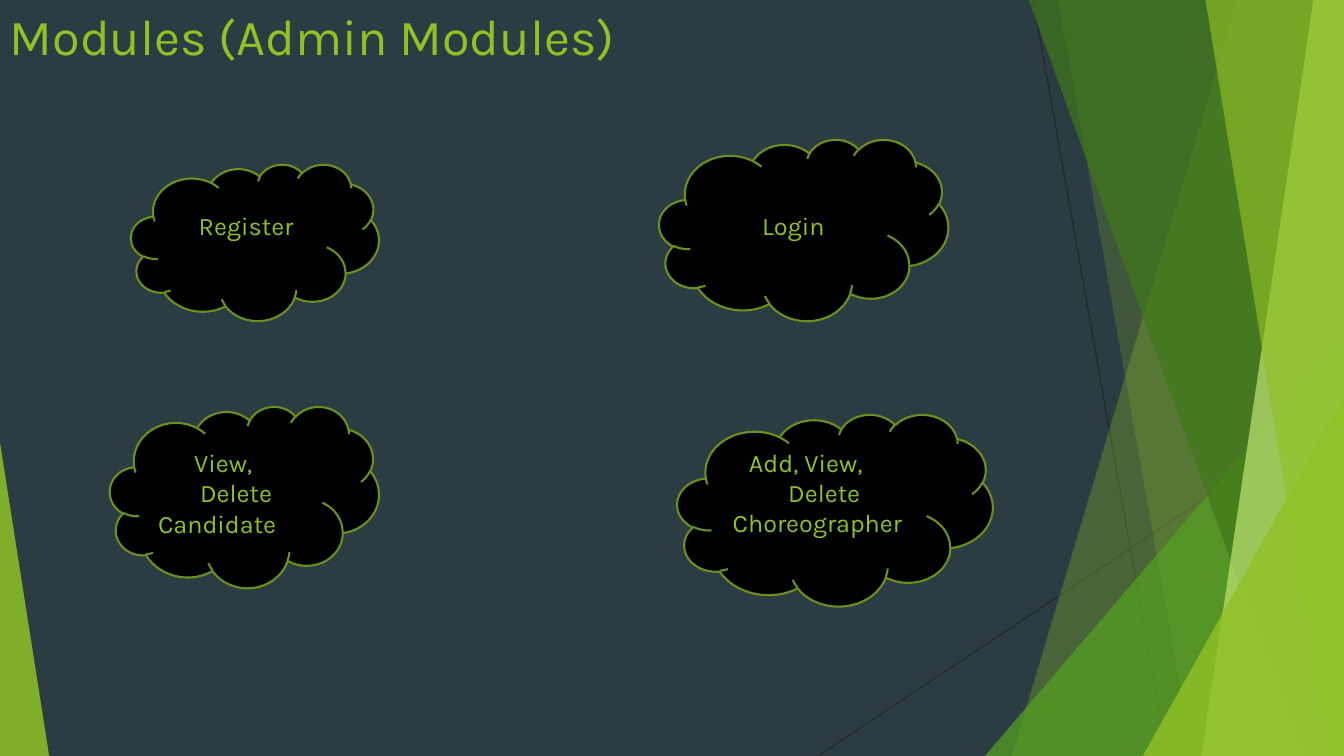
"""Build the admin modules slide: four clouds beside a fan of green facets."""
from lxml import etree
from pptx import Presentation
from pptx.dml.color import RGBColor
from pptx.enum.shapes import MSO_CONNECTOR, MSO_SHAPE
from pptx.enum.text import MSO_ANCHOR, PP_ALIGN
from pptx.oxml.ns import qn
from pptx.util import Cm, Pt

STRAIGHT = MSO_CONNECTOR.STRAIGHT
CLOUD, TRIANGLE = MSO_SHAPE.CLOUD, MSO_SHAPE.ISOSCELES_TRIANGLE
TOP, MIDDLE = MSO_ANCHOR.TOP, MSO_ANCHOR.MIDDLE
LEFT, CENTER = PP_ALIGN.LEFT, PP_ALIGN.CENTER

WIDTH, HEIGHT = 33.87, 19.05
FONT = "Karla"
COLORS = {
    "background": "2C3C43", "hairline": "262626", "lime": "90C226",
    "green": "54A021", "forest": "3F7819", "pale": "C0E474",
    "cloud": "000000", "outline": "6B901C",
}
TITLE = "Modules (Admin Modules)"

# content
HAIRLINES = [((26.04, 0), (29.41, HEIGHT)), ((WIDTH, 10.24), (20.62, HEIGHT))]
FACETS = [
    {"top_x": 31.19, "bottom_x": 25.5, "color": "lime", "opacity": 30},
    {"top_x": 26.67, "bottom_x": 30.05, "color": "lime", "opacity": 20},
    {"box": (24.82, 8.46, 9.05, 10.59), "apex": 1, "color": "green", "opacity": 72},
    {"top_x": 25.93, "bottom_x": 32.79, "color": "forest", "opacity": 70},
    {"top_x": 33.1, "bottom_x": 30.28, "color": "pale", "opacity": 70},
    {"top_x": 30.38, "bottom_x": 33.48, "color": "lime", "opacity": 65},
    {"box": (28.8, 9.98, 5.07, 9.07), "apex": 1, "color": "lime", "opacity": 80},
    {"box": (0, 11.15, 1.24, 7.9), "apex": 0, "color": "lime", "opacity": 85},
]
MODULES = [
    {"box": (16.61, 3.51, 7.29, 4.57), "lift": 0, "lines": [("Login", None)]},
    {"box": (17.07, 10.44, 7.95, 4.83), "lift": 0.66,
     "lines": [("Add, View,", 0.46), ("Delete", 1.45), ("Choreographer", 0.05)]},
    {"box": (2.77, 10.24, 6.78, 4.57), "lift": 0,
     "lines": [("View,", 0.94), ("Delete", 1.09), ("Candidate", 0.03)]},
    {"box": (3.3, 4.14, 6.25, 3.94), "lift": 0.69, "lines": [("Register", None)]},
]


def rgb(name):
    return RGBColor.from_string(COLORS[name])


def write(paragraph, words, size):
    run = paragraph.add_run()
    run.text = words
    run.font.name = FONT
    run.font.size = Pt(size)
    run.font.color.rgb = rgb("lime")


def add_hairline(slide, start, end):
    hairline = slide.shapes.add_connector(STRAIGHT, *map(Cm, start + end))
    hairline.line.color.rgb = rgb("hairline")
    hairline.line.width = Pt(0.75)
    etree.SubElement(hairline._element.spPr, qn("a:effectLst"))


def add_facet(slide, facet):
    if "box" in facet:
        shape = slide.shapes.add_shape(TRIANGLE, *map(Cm, facet["box"]))
        shape.adjustments[0] = facet["apex"]
    else:
        corners = [(WIDTH, 0), (WIDTH, HEIGHT), (facet["bottom_x"], HEIGHT)]
        outline = slide.shapes.build_freeform(Cm(facet["top_x"]), 0)
        outline.add_line_segments([(Cm(x), Cm(y)) for x, y in corners])
        shape = outline.convert_to_shape()
    shape.shadow.inherit = False
    shape.line.fill.background()
    shape.fill.solid()
    shape.fill.fore_color.rgb = rgb(facet["color"])
    tint = shape._element.spPr.find(qn("a:solidFill"))[0]
    etree.SubElement(tint, qn("a:alpha"), val=str(facet["opacity"] * 1000))


def add_module(slide, module):
    cloud = slide.shapes.add_shape(CLOUD, *map(Cm, module["box"]))
    cloud.shadow.inherit = False
    cloud.fill.solid()
    cloud.fill.fore_color.rgb = rgb("cloud")
    cloud.line.color.rgb = rgb("outline")
    cloud.line.width = Pt(1.5)
    frame = cloud.text_frame
    frame.word_wrap = True
    frame.vertical_anchor = MIDDLE
    frame.margin_top, frame.margin_bottom = 0, Cm(module["lift"])
    for index, (words, indent) in enumerate(module["lines"]):
        paragraph = frame.add_paragraph() if index else frame.paragraphs[0]
        paragraph.alignment = CENTER if indent is None else LEFT
        if indent is not None:
            paragraph._p.get_or_add_pPr().set("marL", str(Cm(indent)))
        write(paragraph, words, 18)


def add_title(slide):
    frame = slide.shapes.add_textbox(0, 0, Cm(23.88), Cm(2.29)).text_frame
    frame.word_wrap = True
    frame.vertical_anchor = TOP
    write(frame.paragraphs[0], TITLE, 36)


def main():
    deck = Presentation()
    deck.slide_width, deck.slide_height = Cm(WIDTH), Cm(HEIGHT)
    slide = deck.slides.add_slide(deck.slide_layouts[6])
    slide.background.fill.solid()
    slide.background.fill.fore_color.rgb = rgb("background")
    for start, end in HAIRLINES:
        add_hairline(slide, start, end)
    for facet in FACETS:
        add_facet(slide, facet)
    add_title(slide)
    for module in MODULES:
        add_module(slide, module)
    deck.save("out.pptx")


if __name__ == "__main__":
    main()
